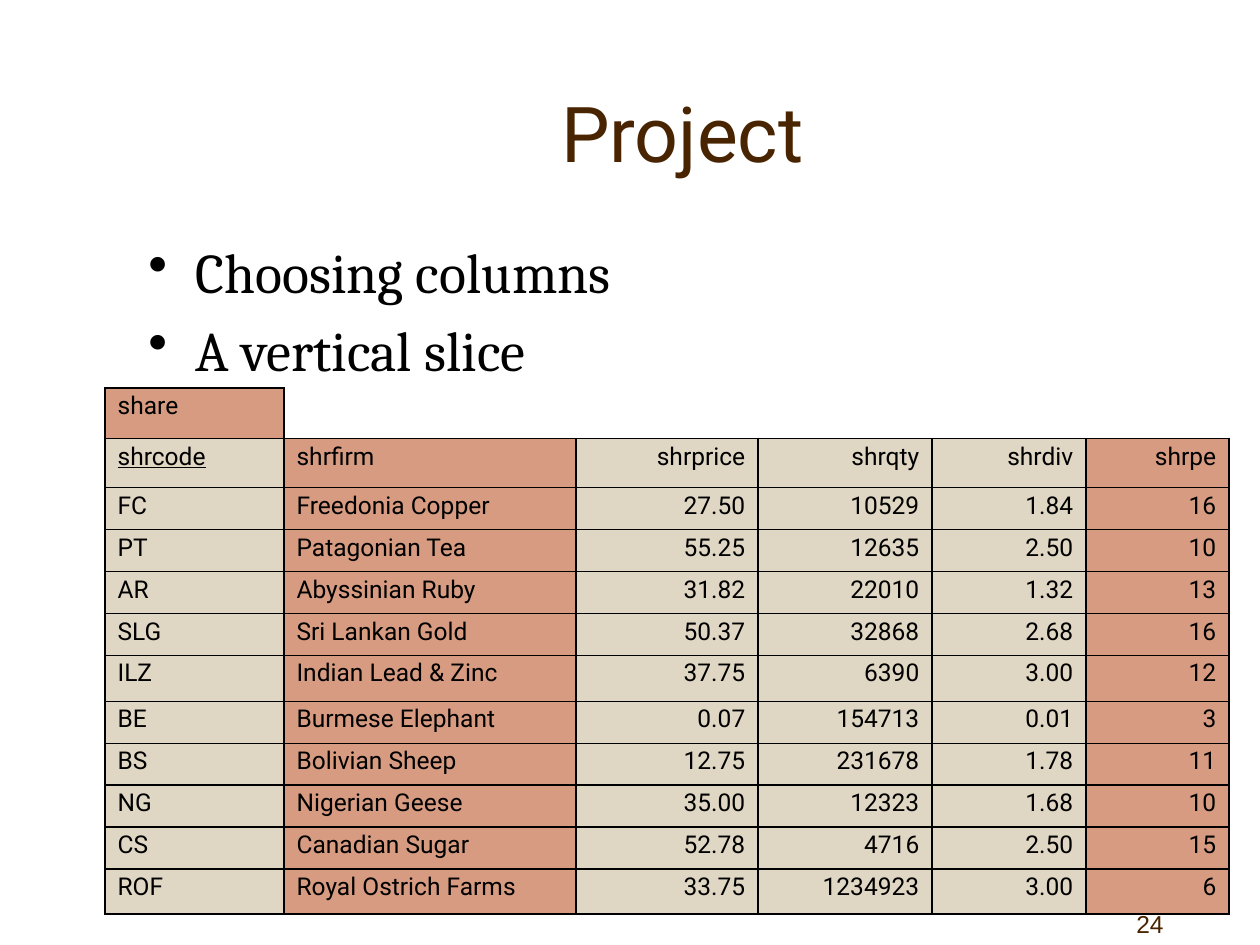
import pptx
import pptx.dml.color
import pptx.enum.text
import pptx.oxml
import pptx.oxml.ns
import pptx.util

# Content
TITLE = "Project"
BULLETS = ["Choosing columns", "A vertical slice"]
PAGE_NUMBER = "24"
TABLE_NAME = "share"
HEADER = ["shrcode", "shrfirm", "shrprice", "shrqty", "shrdiv", "shrpe"]
SHARES = [
    ["FC", "Freedonia Copper", "27.50", "10529", "1.84", "16"],
    ["PT", "Patagonian Tea", "55.25", "12635", "2.50", "10"],
    ["AR", "Abyssinian Ruby", "31.82", "22010", "1.32", "13"],
    ["SLG", "Sri Lankan Gold", "50.37", "32868", "2.68", "16"],
    ["ILZ", "Indian Lead & Zinc", "37.75", "6390", "3.00", "12"],
    ["BE", "Burmese Elephant", "0.07", "154713", "0.01", "3"],
    ["BS", "Bolivian Sheep", "12.75", "231678", "1.78", "11"],
    ["NG", "Nigerian Geese", "35.00", "12323", "1.68", "10"],
    ["CS", "Canadian Sugar", "52.78", "4716", "2.50", "15"],
    ["ROF", "Royal Ostrich Farms", "33.75", "1234923", "3.00", "6"],
]

# Look
BROWN, BLACK, SAND, CLAY = "482400", "000000", "DFD6C3", "D69B80"
PROJECTED = {1, 5}  # columns picked out by the projection
TITLE_FONT = {"name": "Roboto", "size": 44, "color": BROWN}
BULLET_FONT = {"name": "Cambria", "size": 32, "color": BLACK}
PAGE_FONT = {"name": "Arial", "size": 14, "color": BROWN}
CELL_FONT = {"name": "Roboto", "size": 14, "color": BLACK}

# Layout in px
SLIDE = (1260, 945)
TITLE_BOX = (147, 53, 1071, 158)
BULLET_BOX = (136, 231, 1071, 546)
PAGE_BOX = (1071, 882, 158, 63)
TABLE_CORNER = (105, 388)
COLUMN_WIDTHS = [179, 292, 182, 174, 154, 143]
ROW_HEIGHTS = [45, 49] + [42] * 4 + [46] + [42] * 4 + [45]
BULLET_INDENT = 47

ALIGN = pptx.enum.text.PP_ALIGN
ANCHOR = pptx.enum.text.MSO_ANCHOR


def px(length):
    return round(length * 914400 / 126)


def rgb(value):
    return pptx.dml.color.RGBColor.from_string(value)


def write(para, text, look, align=ALIGN.LEFT):
    para.alignment = align
    span = para.add_run()
    span.text = text
    values = dict(look, size=pptx.util.Pt(look["size"]))
    span.font.color.rgb = rgb(values.pop("color"))
    for name, value in values.items():
        setattr(span.font, name, value)


def add_box(page, place, anchor):
    frame = page.shapes.add_textbox(*map(px, place)).text_frame
    frame.word_wrap = True
    frame.vertical_anchor = anchor
    return frame


def add_bullet(para):
    properties = para._p.get_or_add_pPr()
    properties.set("marL", str(px(BULLET_INDENT)))
    properties.set("indent", str(-px(BULLET_INDENT)))
    mark = pptx.oxml.parse_xml(
        f'<a:buChar {pptx.oxml.ns.nsdecls("a")} char="•"/>')
    properties.append(mark)


def set_borders(cell, drawn):
    properties = cell._tc.get_or_add_tcPr()
    for position, side in enumerate("LRTB"):
        paint = (f'<a:solidFill><a:srgbClr val="{BLACK}"/></a:solidFill>'
                 if side in drawn else "<a:noFill/>")
        line = pptx.oxml.parse_xml(
            f'<a:ln{side} {pptx.oxml.ns.nsdecls("a")} w="12700">{paint}</a:ln{side}>')
        properties.insert(position, line)


def fill_cell(cell, text, color, look=CELL_FONT, align=ALIGN.LEFT):
    cell.fill.solid()
    cell.fill.fore_color.rgb = rgb(color)
    set_borders(cell, "LRTB")
    para = cell.text_frame.paragraphs[0]
    para.line_spacing = 0.88
    write(para, text, look, align)


def add_share_table(page):
    place = (*TABLE_CORNER, sum(COLUMN_WIDTHS), sum(ROW_HEIGHTS))
    table = page.shapes.add_table(
        len(ROW_HEIGHTS), len(COLUMN_WIDTHS), *map(px, place)).table
    table.first_row = table.horz_banding = False
    for column, width in zip(table.columns, COLUMN_WIDTHS):
        column.width = px(width)
    for row, height in zip(table.rows, ROW_HEIGHTS):
        row.height = px(height)

    # Name row: one filled cell, the rest merged and empty
    fill_cell(table.cell(0, 0), TABLE_NAME, CLAY)
    table.cell(0, 1).merge(table.cell(0, len(HEADER) - 1))
    for column in range(1, len(HEADER)):
        cell = table.cell(0, column)
        cell.fill.background()
        set_borders(cell, "LB" if column == 1 else "B")

    # Header and share rows
    for row, values in enumerate([HEADER] + SHARES, start=1):
        for column, text in enumerate(values):
            is_key = row == 1 and column == 0
            fill_cell(table.cell(row, column), text,
                      CLAY if column in PROJECTED else SAND,
                      dict(CELL_FONT, underline=is_key),
                      ALIGN.RIGHT if column > 1 else ALIGN.LEFT)


def main():
    deck = pptx.Presentation()
    deck.slide_width, deck.slide_height = map(px, SLIDE)
    page = deck.slides.add_slide(deck.slide_layouts[6])

    # Page number and title
    number = add_box(page, PAGE_BOX, ANCHOR.BOTTOM)
    write(number.paragraphs[0], PAGE_NUMBER, PAGE_FONT, ALIGN.CENTER)
    title = add_box(page, TITLE_BOX, ANCHOR.MIDDLE)
    write(title.paragraphs[0], TITLE, TITLE_FONT, ALIGN.CENTER)

    # Bullets
    body = add_box(page, BULLET_BOX, ANCHOR.TOP)
    for index, text in enumerate(BULLETS):
        para = body.add_paragraph() if index else body.paragraphs[0]
        add_bullet(para)
        if index:
            para.space_before = pptx.util.Pt(6.4)
        write(para, text, BULLET_FONT)

    add_share_table(page)
    deck.save("out.pptx")


if __name__ == "__main__":
    main()
